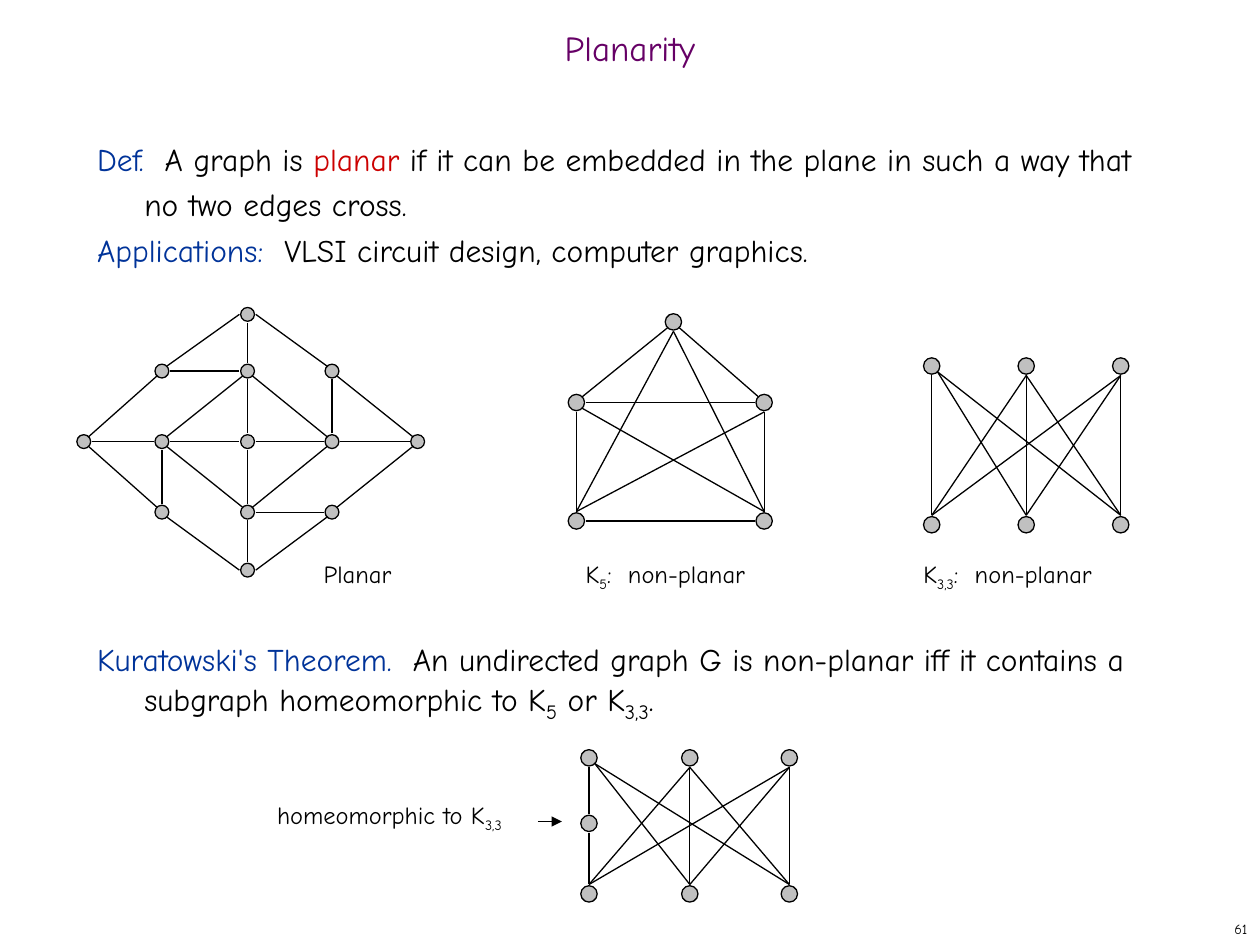
"""Build the Planarity slide with its four example graphs."""
from dataclasses import dataclass
from typing import Any

import lxml.etree
import pptx
import pptx.dml.color
import pptx.enum.shapes
import pptx.enum.text
import pptx.oxml.ns
import pptx.util

PX = pptx.util.Inches(1) // 100
FONT = "Comic Neue"
BLACK, BLUE, RED, PURPLE, GREY = "000000", "003399", "CC0000", "660066", "C0C0C0"
ALIGN = pptx.enum.text.PP_ALIGN
ANCHOR = pptx.enum.text.MSO_ANCHOR
AUTO_SIZE = pptx.enum.text.MSO_AUTO_SIZE
DIRECTIONS = {
    "n": (0, -1), "ne": (1, -1), "e": (1, 0), "se": (1, 1),
    "s": (0, 1), "sw": (-1, 1), "w": (-1, 0), "nw": (-1, -1),
}


@dataclass(frozen=True)
class Run:
    """A stretch of text with one format."""
    text: str
    color: str = BLACK
    size: int = 14
    subscript: bool = False


@dataclass(frozen=True)
class Graph:
    """Node corners by name, and edges written as node.side pairs."""
    node_size: int
    nodes: dict[str, tuple[int, int]]
    edges: str


@dataclass(frozen=True)
class Label:
    """A caption with its box in px."""
    box: tuple[int, int, int, int]
    runs: tuple[Run, ...]


def emu(length: float) -> int:
    """Turn px into EMU."""
    return round(length * PX)


def rgb(value: str) -> pptx.dml.color.RGBColor:
    """Turn a hex string into a colour."""
    return pptx.dml.color.RGBColor.from_string(value)


def apply_format(target: Any, values: dict[str, Any]) -> None:
    """Set each named attribute of the target."""
    for name, value in values.items():
        setattr(target, name, value)


def add_child(parent: Any, tag: str, **attributes: str) -> None:
    """Append a drawing element to its parent."""
    child = lxml.etree.SubElement(parent, pptx.oxml.ns.qn(tag))
    for name, value in attributes.items():
        child.set(name, value)


def place(shape: Any, box: tuple[int, int, int, int]) -> None:
    """Move and size a shape."""
    apply_format(shape, dict(zip(("left", "top", "width", "height"), map(emu, box))))


def write(paragraph: Any, runs: tuple[Run, ...], values: dict[str, Any]) -> None:
    """Format a paragraph and fill it with runs."""
    apply_format(paragraph, values)
    for item in runs:
        run = paragraph.add_run()
        run.text = item.text
        apply_format(run.font, {"name": FONT, "size": pptx.util.Pt(item.size), "bold": False})
        run.font.color.rgb = rgb(item.color)
        if item.subscript:
            run.font._element.set("baseline", "-25000")


def add_label(slide: Any, label: Label, values: dict[str, Any]) -> Any:
    """Add a caption and return its text frame."""
    shape = slide.shapes.add_textbox(*map(emu, label.box))
    apply_format(shape.text_frame, {"word_wrap": True, "auto_size": AUTO_SIZE.SHAPE_TO_FIT_TEXT})
    write(shape.text_frame.paragraphs[0], label.runs, values)
    return shape.text_frame


def add_line(shapes: Any, start: tuple[float, float], end: tuple[float, float], arrow: bool = False) -> None:
    """Draw a thin black line, with an arrowhead if asked."""
    straight = pptx.enum.shapes.MSO_CONNECTOR.STRAIGHT
    connector = shapes.add_connector(straight, *map(emu, start + end))
    connector.line.color.rgb = rgb(BLACK)
    connector.line.width = pptx.util.Pt(0.75)
    if arrow:
        add_child(connector.line._get_or_add_ln(), "a:tailEnd", type="triangle")
    add_child(connector._element.spPr, "a:effectLst")


def edge_end(graph: Graph, name: str) -> tuple[float, float]:
    """Find the point on a node's side where an edge ends."""
    node, side = name.split(".")
    x, y = graph.nodes[node]
    across, down = DIRECTIONS[side]
    radius = graph.node_size / 2
    reach = radius * 0.7 if across and down else radius + 1
    return x + radius + across * reach, y + radius + down * reach


def add_graph(slide: Any, graph: Graph) -> None:
    """Draw the edges and nodes of a graph as a group."""
    shapes = slide.shapes.add_group_shape().shapes
    for edge in graph.edges.split(","):
        start, end = edge.split()
        add_line(shapes, edge_end(graph, start), edge_end(graph, end))
    for x, y in graph.nodes.values():
        size = emu(graph.node_size)
        node = shapes.add_shape(pptx.enum.shapes.MSO_SHAPE.OVAL, emu(x), emu(y), size, size)
        node.shadow.inherit = False
        node.fill.solid()
        node.fill.fore_color.rgb = rgb(GREY)
        node.line.color.rgb = rgb(BLACK)
        node.line.width = pptx.util.Pt(0.75)


def grid(columns: tuple[int, ...], rows: tuple[int, ...], names: str) -> dict[str, tuple[int, int]]:
    """Place nodes named by column letter and row number."""
    return {name: (columns["abcde".index(name[0])], rows[int(name[1]) - 1]) for name in names.split()}


def add_title(slide: Any) -> None:
    """Fill the title placeholder."""
    title = slide.shapes.title
    place(title, (0, 17, 1000, 50))
    apply_format(title.text_frame, {"vertical_anchor": ANCHOR.MIDDLE, "auto_size": AUTO_SIZE.NONE})
    write(title.text_frame.paragraphs[0], (Run("Planarity", PURPLE, 20),),
          {"alignment": ALIGN.CENTER, "line_spacing": 0.7})


def add_body(slide: Any) -> None:
    """Fill the body placeholder with the definition and theorem."""
    body = slide.placeholders[1]
    place(body, (67, 100, 858, 592))
    frame = body.text_frame
    apply_format(frame, {"vertical_anchor": ANCHOR.TOP, "auto_size": AUTO_SIZE.NONE})
    statements = (
        (0, (Run("Def.  ", BLUE, 18), Run("A graph is ", size=18), Run("planar", RED, 18),
             Run(" if it can be embedded in the plane in such a way that no two edges cross.", size=18))),
        (0, (Run("Applications:  ", BLUE, 18), Run("VLSI circuit design, computer graphics.", size=18))),
        (208, (Run("Kuratowski's Theorem.  ", BLUE, 18),
               Run("An undirected graph G is non-planar iff it contains a subgraph homeomorphic to K", size=18),
               Run("5", size=20, subscript=True), Run(" or K", size=18),
               Run("3,3", size=20, subscript=True), Run(".", size=18))),
    )
    for index, (gap, runs) in enumerate(statements):
        paragraph = frame.add_paragraph() if index else frame.paragraphs[0]
        write(paragraph, runs, {"alignment": ALIGN.LEFT, "line_spacing": pptx.util.Pt(26),
                                "space_before": pptx.util.Pt(gap), "space_after": pptx.util.Pt(0)})
        properties = paragraph._p.get_or_add_pPr()
        apply_format(properties, {"marL": 0, "indent": 0})
        add_child(properties, "a:buNone")


CROSSING = ("b2.n b1.s,a1.se b2.n,a2.n c1.s,c2.n a1.se,a2.n b1.s,"
            "c2.n c1.s,c2.n b1.s,c1.s b2.n")
SIX = "a1 b1 c1 a2 b2 c2"
GRAPHS = (
    Graph(11, grid((61, 123, 191, 258, 326), (244, 289, 345, 401, 447),
                   "c1 b2 c2 d2 a3 b3 c3 d3 e3 b4 c4 d4 c5"),
          "a3.e b3.w,b3.e c3.w,c3.e d3.w,e3.w d3.e,c4.e d4.w,b2.e c2.w,"
          "c1.s c2.n,c5.n c4.s,c3.n c2.s,c3.s c4.n,b3.s b4.n,d3.n d2.s,"
          "b2.ne c1.w,b2.sw a3.ne,a3.se b4.nw,b4.se c5.w,"
          "c1.e d2.nw,e3.nw d2.se,d4.ne e3.sw,c5.e d4.sw,"
          "d3.nw c2.se,c4.ne d3.sw,b3.ne c2.sw,b3.se c4.nw"),
    Graph(13, grid((451, 528, 600), (249, 313, 407), "b1 a2 c2 a3 c3"),
          "c3.n b1.s,a3.n c2.s,c3.n a2.se,a3.n b1.s,a2.s a3.n,"
          "c3.n c2.s,c2.nw b1.se,c2.w a2.e,a2.ne b1.sw,c3.w a3.e"),
    Graph(13, grid((733, 808, 883), (284, 410), SIX), CROSSING + ",a1.s a2.n"),
    Graph(13, grid((461, 541, 620), (595, 703, 647), SIX + " a3"),
          CROSSING + ",a1.s a3.n,a3.s a2.n"),
)
LABELS = (
    Label((247, 439, 168, 33), (Run("Planar"),)),
    Label((455, 439, 213, 37), (Run("K"), Run("5", subscript=True), Run(":  non-planar"))),
    Label((723, 439, 241, 37), (Run("K"), Run("3,3", subscript=True), Run(":  non-planar"))),
    Label((210, 630, 222, 37), (Run("homeomorphic to K"), Run("3,3", subscript=True))),
)


def main() -> None:
    """Build and save the slide."""
    presentation = pptx.Presentation()
    apply_format(presentation, {"slide_width": emu(1000), "slide_height": emu(750)})
    slide = presentation.slides.add_slide(presentation.slide_layouts[1])
    add_title(slide)
    add_body(slide)
    for graph in GRAPHS:
        add_graph(slide, graph)
    for label in LABELS:
        add_label(slide, label, {"space_before": pptx.util.Pt(8.8)})
    add_line(slide.shapes, (427, 652), (446, 652), arrow=True)
    number = add_label(slide, Label((792, 725, 208, 25), (Run("61", size=8),)), {"alignment": ALIGN.RIGHT})
    apply_format(number, {"vertical_anchor": ANCHOR.MIDDLE, "auto_size": AUTO_SIZE.NONE})
    presentation.save("out.pptx")


if __name__ == "__main__":
    main()
